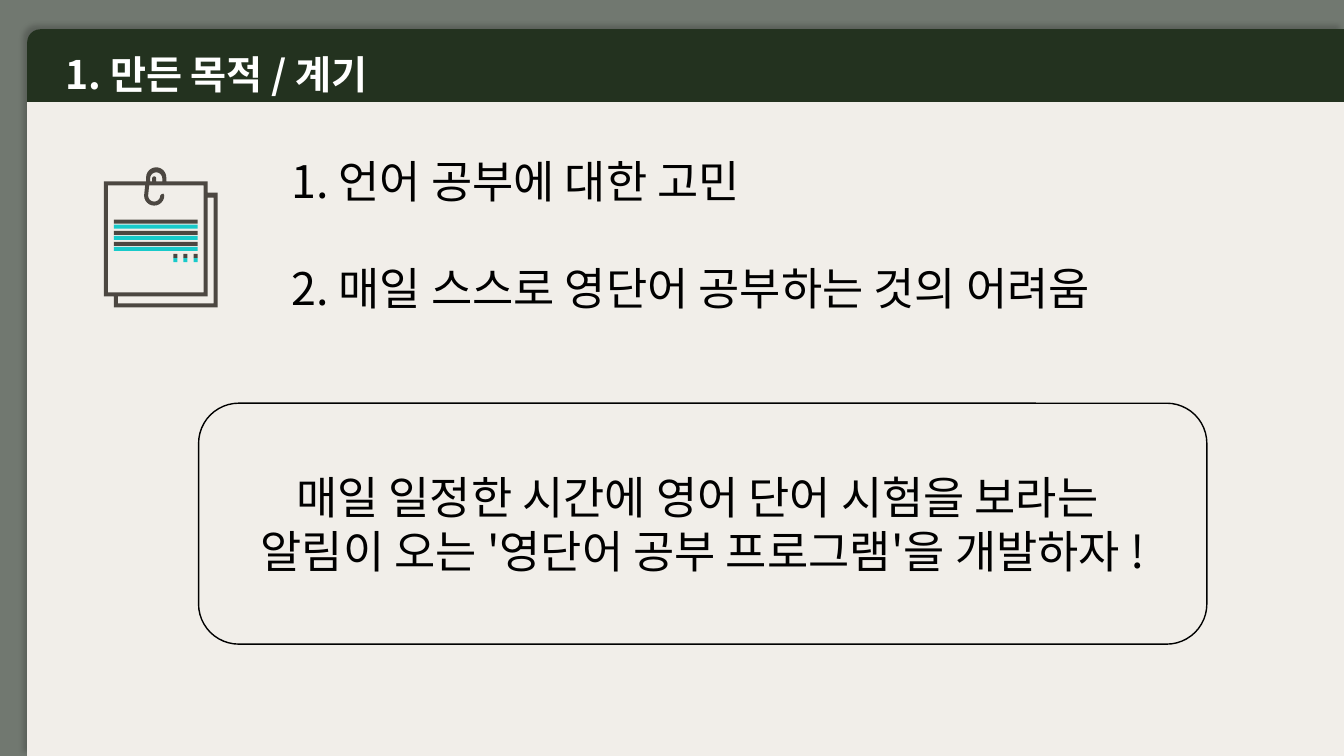
from dataclasses import dataclass
from math import cos, radians, sin

from lxml.etree import SubElement
from pptx import Presentation
from pptx.dml.color import RGBColor
from pptx.enum.shapes import MSO_SHAPE
from pptx.enum.text import MSO_ANCHOR, MSO_AUTO_SIZE, PP_ALIGN
from pptx.oxml.ns import qn
from pptx.util import Inches, Pt

FONT = "Noto Sans CJK KR"
BACKGROUND, GREEN, CREAM = "717870", "23321F", "F1EEE9"
TEAL, BROWN, BLACK, WHITE = "18CACA", "4C4741", "000000", "FFFFFF"

Point = tuple[float, float]


@dataclass
class Mark:
    left: float
    top: float
    width: float
    teal_drop: float


@dataclass
class TextBlock:
    left: float
    top: float
    width: float
    height: float
    lines: list[str]
    size: int
    color: str
    bold: bool = False
    gap: int = 0


def color_of(value: str) -> RGBColor:
    return RGBColor.from_string(value)


def write_lines(frame, lines: list[str], size: int, color: str,
                bold: bool = False, gap: int = 0, alignment=PP_ALIGN.LEFT) -> None:
    frame.word_wrap = True
    for index, line in enumerate(lines):
        paragraph = frame.paragraphs[0] if index == 0 else frame.add_paragraph()
        paragraph.alignment = alignment
        if index:
            paragraph.space_before = Pt(gap)
        run = paragraph.add_run()
        run.text = line
        run.font.size = Pt(size)
        run.font.bold = bold
        run.font.name = FONT
        run.font.color.rgb = color_of(color)
        SubElement(run.font._element, qn("a:ea"), typeface=FONT)


def add_text(slide, block: TextBlock) -> None:
    shape = slide.shapes.add_textbox(Inches(block.left), Inches(block.top),
                                     Inches(block.width), Inches(block.height))
    write_lines(shape.text_frame, block.lines, block.size, block.color, block.bold, block.gap)
    shape.text_frame.auto_size = MSO_AUTO_SIZE.SHAPE_TO_FIT_TEXT


def add_page(slide) -> None:
    shape = slide.shapes.add_shape(MSO_SHAPE.ROUND_1_RECTANGLE, Inches(0.27), Inches(0.29),
                                   Inches(13.06), Inches(7.21))
    shape.adjustments[0] = 0.018
    properties = shape._element.spPr
    properties.find(qn("a:xfrm")).set("flipH", "1")
    shape.line.fill.background()
    # Both stops share a position, so the header has a hard edge
    shape.fill.gradient()
    shape.fill.gradient_angle = 270
    for stop, color in zip(shape.fill.gradient_stops, (GREEN, CREAM)):
        stop.position = 0.1
        stop.color.rgb = color_of(color)
    effects = SubElement(properties, qn("a:effectLst"))
    shadow = SubElement(effects, qn("a:outerShdw"), blurRad=str(Pt(4)), dist=str(Pt(3)),
                        dir=str(225 * 60000), algn="br", rotWithShape="0")
    shadow_color = SubElement(shadow, qn("a:srgbClr"), val=BLACK)
    SubElement(shadow_color, qn("a:alpha"), val="20000")


def arc(x: float, y: float, radius: float, start: int, end: int) -> list[Point]:
    """Points on a circle; angles run clockwise from the right."""
    steps = 12
    angles = [radians(start + (end - start) * step / steps) for step in range(steps + 1)]
    return [(x + radius * cos(angle), y + radius * sin(angle)) for angle in angles]


def add_mark(group, mark: Mark, color: str, drop: float) -> None:
    shape = group.shapes.add_shape(MSO_SHAPE.RECTANGLE, Inches(mark.left),
                                   Inches(mark.top + drop), Inches(mark.width), Inches(0.04))
    finish_icon_part(shape, color)


def finish_icon_part(shape, color: str) -> None:
    shape.shadow.inherit = False
    shape.fill.solid()
    shape.fill.fore_color.rgb = color_of(color)
    shape.line.fill.background()


def add_paper_outline(group) -> None:
    back_sheet = [(2.12, 3.01), (1.17, 3.01), (1.17, 2.94), (2.06, 2.94),
                  (2.06, 1.96), (2.12, 1.96)]
    front_sheet = [(1.07, 1.84), (1.44, 1.84), *arc(1.53, 1.94, 0.1, 180, 0),
                   (1.62, 1.92), (1.6, 1.93), *arc(1.53, 1.94, 0.06, 0, 180),
                   (1.48, 1.84), (2.02, 1.84), (2.02, 2.9), (1.07, 2.9)]
    clip_opening = [(1.49, 1.8), *arc(1.55, 1.77, 0.06, 180, 360), (1.61, 1.8), (1.55, 1.8),
                    *arc(1.53, 1.77, 0.02, 0, -180), (1.51, 1.8)]
    outer_edge = [(2.06, 1.91), (2.06, 1.8), (1.65, 1.8), *arc(1.55, 1.76, 0.1, 0, -180),
                  (1.45, 1.8), (1.03, 1.8), (1.03, 2.94), (1.13, 2.94),
                  (1.13, 3.05), (2.16, 3.05), (2.16, 1.91)]
    builder = None
    for contour in (back_sheet, front_sheet, clip_opening, outer_edge):
        points = [(Inches(x), Inches(y)) for x, y in contour]
        if builder is None:
            builder = group.shapes.build_freeform(*points[0])
        else:
            builder.move_to(*points[0])
        builder.add_line_segments(points[1:], close=True)
    finish_icon_part(builder.convert_to_shape(), BROWN)


def add_paper_icon(slide) -> None:
    group = slide.shapes.add_group_shape()
    marks = [Mark(1.13, 2.18 + 0.11 * row, 0.83, 0.05) for row in range(3)]
    marks += [Mark(1.92 - 0.1 * column, 2.52, 0.04, 0.04) for column in range(3)]
    for mark in marks:
        add_mark(group, mark, TEAL, mark.teal_drop)
    add_paper_outline(group)
    for mark in marks:
        add_mark(group, mark, BROWN, 0)


def add_goal_box(slide) -> None:
    shape = slide.shapes.add_shape(MSO_SHAPE.ROUNDED_RECTANGLE, Inches(1.97), Inches(4),
                                   Inches(10), Inches(2.39))
    shape.shadow.inherit = False
    shape.fill.background()
    shape.line.color.rgb = color_of(BLACK)
    shape.line.width = Pt(1)
    shape.text_frame.vertical_anchor = MSO_ANCHOR.MIDDLE
    lines = ["매일 일정한 시간에 영어 단어 시험을 보라는 ",
             "알림이 오는 '영단어 공부 프로그램'을 개발하자 !"]
    write_lines(shape.text_frame, lines, 32, BLACK, alignment=PP_ALIGN.CENTER)


def main() -> None:
    presentation = Presentation()
    presentation.slide_width = Inches(13.33)
    presentation.slide_height = Inches(7.5)
    slide = presentation.slides.add_slide(presentation.slide_layouts[6])
    slide.background.fill.solid()
    slide.background.fill.fore_color.rgb = color_of(BACKGROUND)

    # Page and icon
    add_page(slide)
    add_paper_icon(slide)

    # Reasons and title
    reasons = ["1. 언어 공부에 대한 고민", "2. 매일 스스로 영단어 공부하는 것의 어려움"]
    add_text(slide, TextBlock(2.79, 1.48, 9.69, 1.72, reasons, 32, BLACK, gap=38))
    add_text(slide, TextBlock(0.55, 0.45, 6.67, 0.57, ["1. 만든 목적 / 계기"], 28, WHITE, bold=True))

    # Goal
    add_goal_box(slide)
    presentation.save("out.pptx")


if __name__ == "__main__":
    main()
